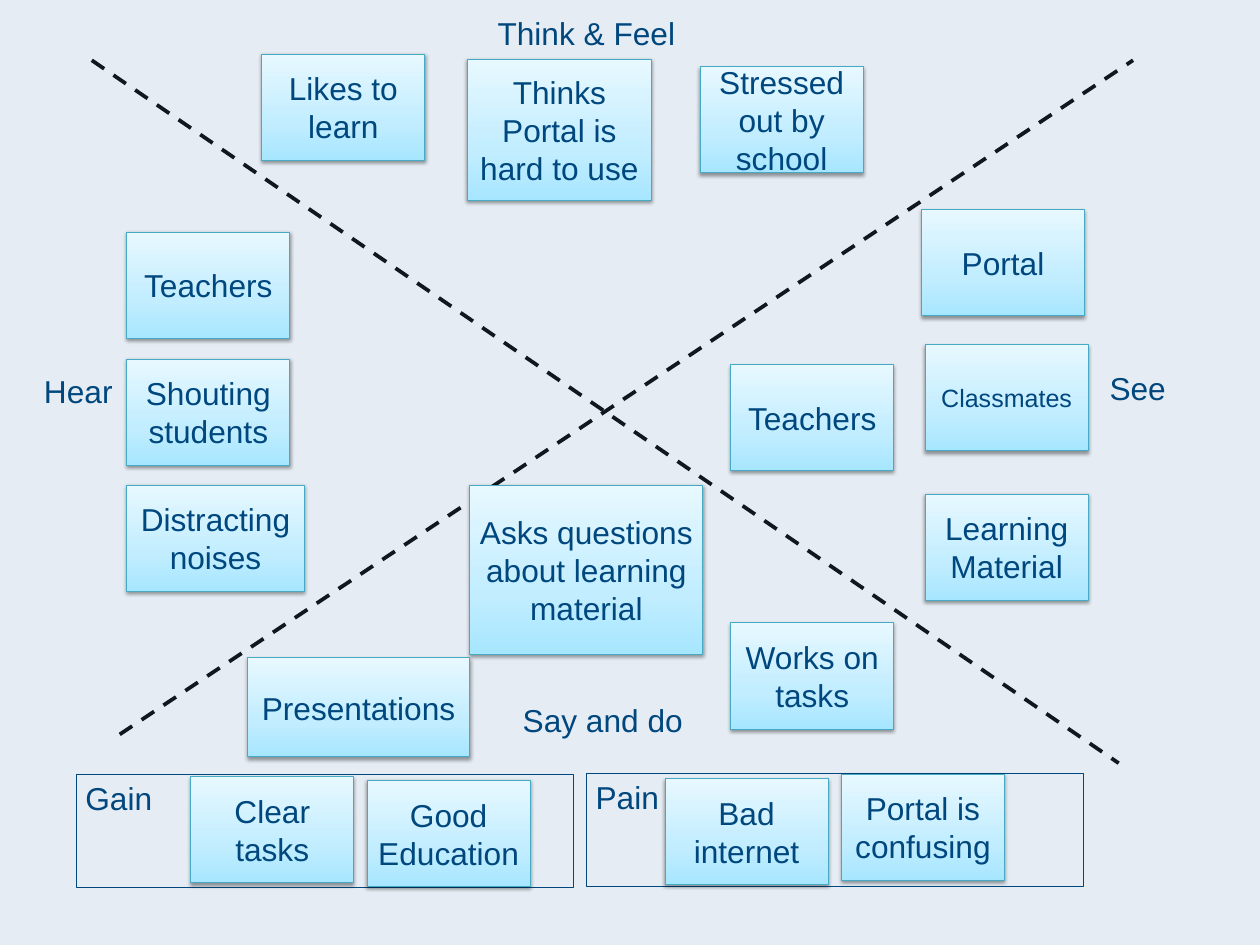
"""Build an empathy map slide with sticky notes around four quadrants."""
from copy import deepcopy
from dataclasses import dataclass

from lxml.etree import SubElement
from pptx import Presentation
from pptx.dml.color import RGBColor
from pptx.enum.dml import MSO_LINE
from pptx.enum.shapes import MSO_CONNECTOR, MSO_SHAPE
from pptx.enum.text import MSO_ANCHOR as Anchor, MSO_AUTO_SIZE as AutoSize, PP_ALIGN as Align
from pptx.oxml.ns import qn
from pptx.util import Inches, Pt


@dataclass(frozen=True)
class Theme:
    """Colours, font and type sizes of the slide."""
    background: str = "E5ECF3"
    ink: str = "00477E"
    divider: str = "0F1820"
    note_line: str = "46AAC5"
    note_stops: tuple = ((0, "A7E6FF"), (0.35, "C1EDFF"), (1, "E7F8FF"))
    font: str = "Arial"
    size: float = 25.3
    small: float = 20


THEME = Theme()
NOTE_SIZE = (1.81, 1.18)
LABEL_SIZE = (2.59, 0.53)
FRAME_SIZE = (5.52, 1.26)

DIVIDERS = [((1.02, 0.67), (12.43, 8.48)), ((1.33, 8.16), (12.59, 0.67))]
FRAMES = [("Gain", 0.85, 8.6), ("Pain", 6.52, 8.59)]
LABELS = [
    ("Think & Feel", 5.43, 0.1),
    ("See", 12.23, 4.05),
    ("Say and do", 5.71, 7.74),
    ("Hear", 0.39, 4.08),
]
NOTES = [
    ("Likes to learn", 2.91, 0.6, {}),
    ("Thinks Portal is hard to use", 5.19, 0.66, {"size": (2.05, 1.57)}),
    ("Portal", 10.24, 2.33, {}),
    ("Classmates", 10.28, 3.83, {"font_size": THEME.small}),
    ("Learning Material", 10.28, 5.49, {}),
    ("Teachers", 1.41, 2.58, {}),
    ("Teachers", 8.12, 4.05, {}),
    ("Shouting students", 1.41, 3.99, {}),
    ("Asks questions about learning material", 5.22, 5.39, {"size": (2.59, 1.88)}),
    ("Works on tasks", 8.12, 6.92, {}),
    ("Bad internet", 7.39, 8.65, {}),
    ("Portal is confusing", 9.35, 8.6, {}),
    ("Clear tasks", 2.12, 8.63, {}),
    ("Good Education", 4.08, 8.67, {}),
    ("Stressed out by school", 7.78, 0.74, {}),
    ("Distracting noises", 1.41, 5.39, {"size": (1.97, 1.18)}),
    ("Presentations", 2.75, 7.31, {"size": (2.47, 1.1)}),
]


def rgb(value):
    """Return the colour for a hex string."""
    return RGBColor.from_string(value)


def box(left, top, size):
    """Return position and size as lengths."""
    return [Inches(value) for value in (left, top, *size)]


def write(shape, text, font_size=THEME.size, align=Align.LEFT, anchor=Anchor.TOP):
    """Put formatted text into a shape."""
    frame = shape.text_frame
    frame.word_wrap = True
    frame.vertical_anchor = anchor
    paragraph = frame.paragraphs[0]
    paragraph.alignment = align
    run = paragraph.add_run()
    run.text = text
    run.font.name = THEME.font
    run.font.size = Pt(font_size)
    run.font.color.rgb = rgb(THEME.ink)


def add_divider(slide, start, end):
    """Draw a dashed diagonal."""
    ends = [Inches(value) for value in (*start, *end)]
    connector = slide.shapes.add_connector(MSO_CONNECTOR.STRAIGHT, *ends)
    connector.line.color.rgb = rgb(THEME.divider)
    connector.line.width = Pt(3)
    connector.line.dash_style = MSO_LINE.DASH
    SubElement(connector._element.spPr, qn("a:effectLst"))


def add_rectangle(slide, left, top, size, line):
    """Draw a thinly outlined rectangle without a shadow."""
    shape = slide.shapes.add_shape(MSO_SHAPE.RECTANGLE, *box(left, top, size))
    shape.shadow.inherit = False
    shape.line.color.rgb = rgb(line)
    shape.line.width = Pt(0.75)
    return shape


def add_frame(slide, text, left, top):
    """Draw an unfilled frame with its heading."""
    shape = add_rectangle(slide, left, top, FRAME_SIZE, THEME.ink)
    shape.fill.background()
    write(shape, text)


def add_label(slide, text, left, top):
    """Add a quadrant label."""
    label = slide.shapes.add_textbox(*box(left, top, LABEL_SIZE))
    write(label, text)
    label.text_frame.auto_size = AutoSize.SHAPE_TO_FIT_TEXT


def fill_gradient(shape, stops):
    """Fill a shape with a gradient that rises from the bottom."""
    shape.fill.gradient()
    shape.fill.gradient_angle = 90
    stop_list = shape._element.spPr.find(".//" + qn("a:gsLst"))
    while len(stop_list) < len(stops):
        stop_list.append(deepcopy(stop_list[0]))
    for stop, (position, color) in zip(shape.fill.gradient_stops, stops):
        stop.position = position
        stop.color.rgb = rgb(color)


def add_shadow(shape):
    """Give a shape a soft shadow below it."""
    effects = shape._element.spPr.find(qn("a:effectLst"))
    shadow = SubElement(effects, qn("a:outerShdw"), blurRad=str(Pt(3.1)), dist=str(Pt(1.6)),
                        dir="5400000", rotWithShape="0")
    color = SubElement(shadow, qn("a:srgbClr"), val="000000")
    SubElement(color, qn("a:alpha"), val="38000")


def add_note(slide, text, left, top, size=NOTE_SIZE, font_size=THEME.size):
    """Add a sticky note with centred text."""
    shape = add_rectangle(slide, left, top, size, THEME.note_line)
    fill_gradient(shape, THEME.note_stops)
    add_shadow(shape)
    write(shape, text, font_size=font_size, align=Align.CENTER, anchor=Anchor.MIDDLE)


def main():
    """Build and save the presentation."""
    presentation = Presentation()
    presentation.slide_width = Inches(14)
    presentation.slide_height = Inches(10.5)
    slide = presentation.slides.add_slide(presentation.slide_layouts[6])
    slide.background.fill.solid()
    slide.background.fill.fore_color.rgb = rgb(THEME.background)
    for start, end in DIVIDERS:
        add_divider(slide, start, end)
    for frame in FRAMES:
        add_frame(slide, *frame)
    for label in LABELS:
        add_label(slide, *label)
    for text, left, top, options in NOTES:
        add_note(slide, text, left, top, **options)
    presentation.save("out.pptx")


main()
